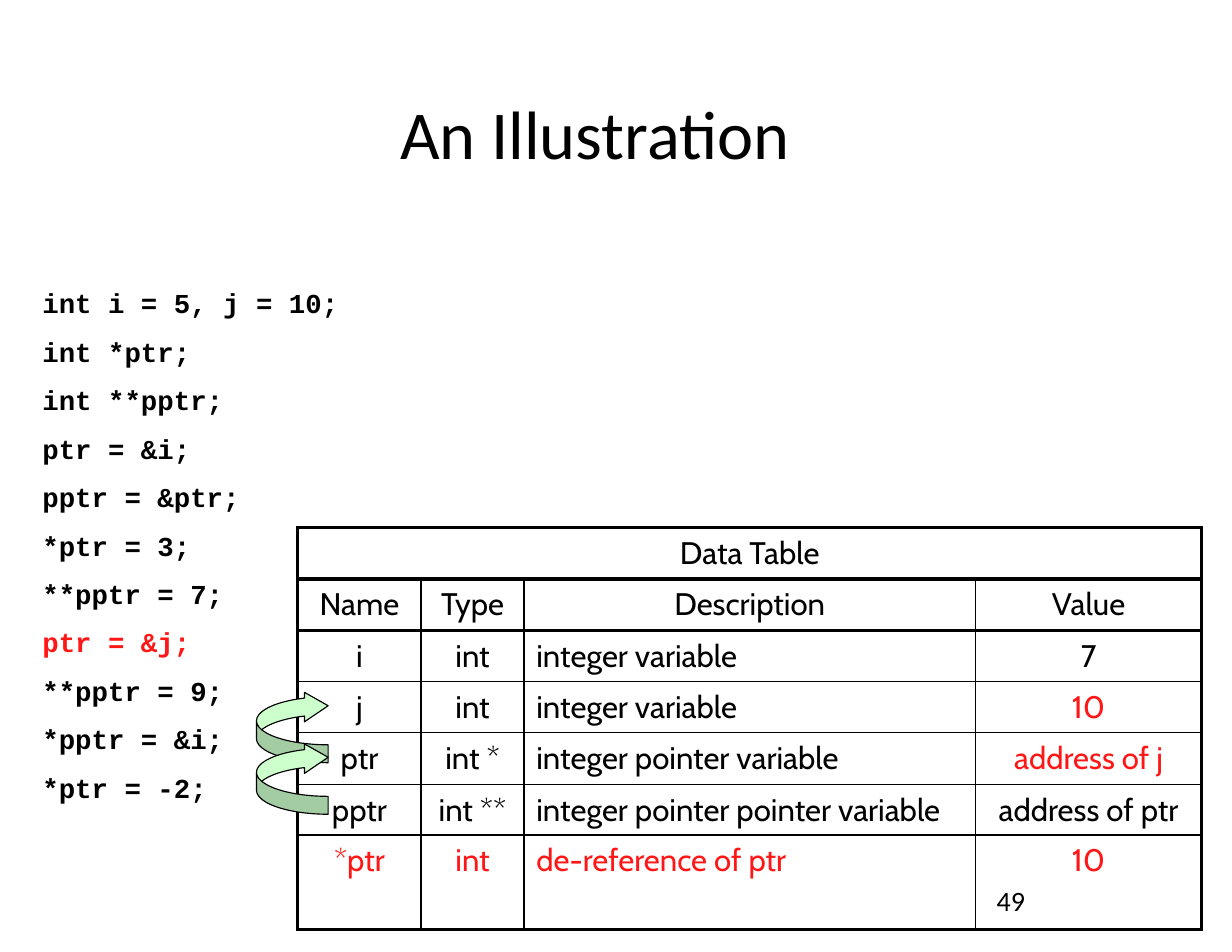
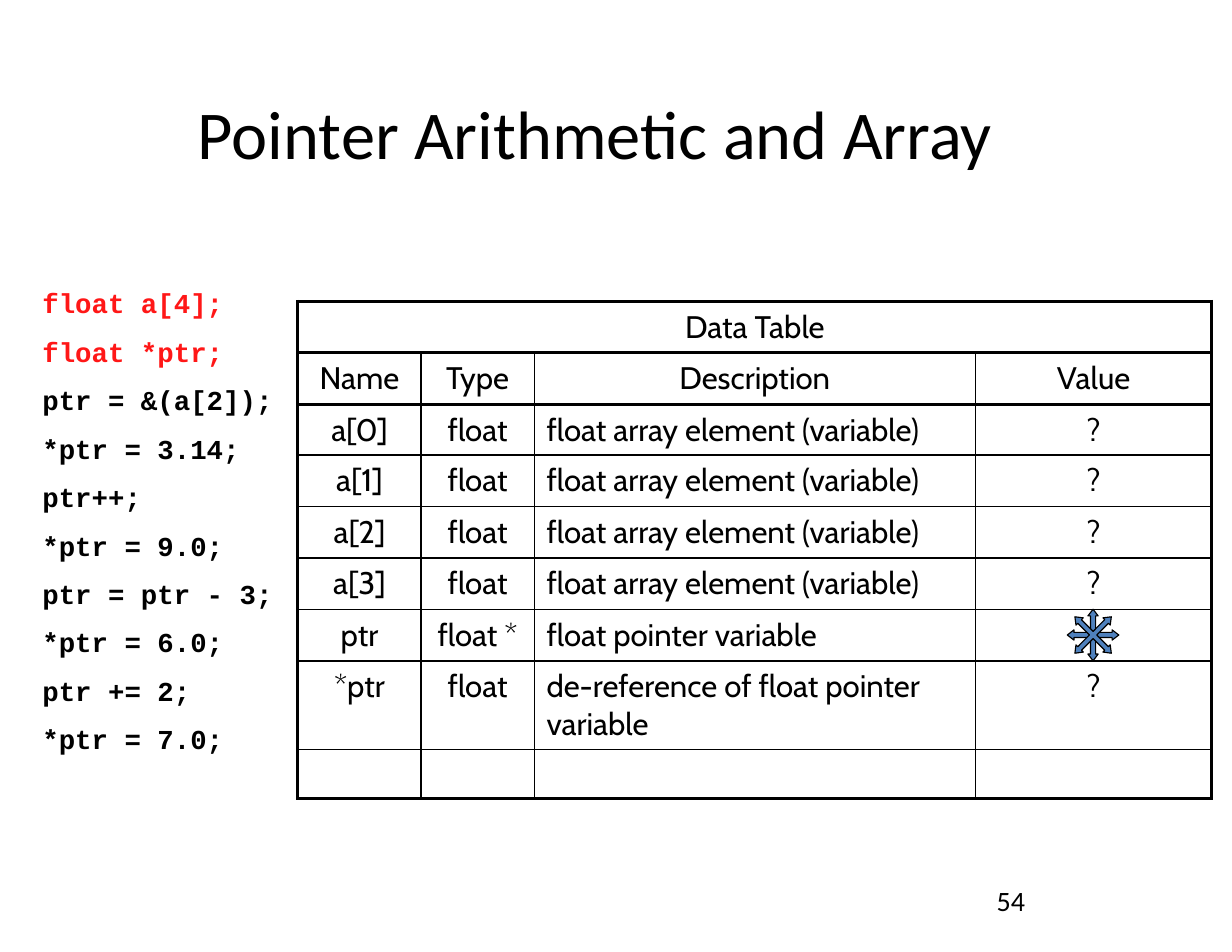
from lxml import etree
from pptx import Presentation
from pptx.dml.color import RGBColor
from pptx.enum.shapes import MSO_SHAPE
from pptx.enum.text import MSO_ANCHOR, PP_ALIGN
from pptx.oxml.ns import qn
from pptx.util import Inches, Pt

LEFT, CENTER = PP_ALIGN.LEFT, PP_ALIGN.CENTER
TOP = MSO_ANCHOR.TOP
CURVE, QUAD = MSO_SHAPE.CURVED_LEFT_ARROW, MSO_SHAPE.QUAD_ARROW
COLORS = {"ink": "000000", "red": "FF1717", "mint": "CCFFCC", "blue": "4F81BD"}
HEADS = ["Name", "Type", "Description", "Value"]
THICK, THIN = 2.25, 1

POINTER_CODE = [
    "int i = 5, j = 10;", "int *ptr;", "int **pptr;", "ptr = &i;",
    "pptr = &ptr;", "*ptr = 3;", "**pptr = 7;", "ptr = &j;",
    "**pptr = 9;", "*pptr = &i;", "*ptr = -2;",
]
POINTER_ROWS = [
    ["i", "int", "integer variable", "7"],
    ["j", "int", "integer variable", "10"],
    ["ptr", "int *", "integer pointer variable", "address of j"],
    ["pptr", "int **", "integer pointer pointer variable", "address of ptr"],
    ["*ptr", "int", "de-reference of ptr", "10"],
]
POINTER_RED = {(3, 3), (4, 3), (6, 0), (6, 1), (6, 2), (6, 3)}

ARRAY_CODE = [
    "float a[4];", "float *ptr;", "ptr = &(a[2]);", "*ptr = 3.14;", "ptr++;",
    "*ptr = 9.0;", "ptr = ptr - 3;", "*ptr = 6.0;", "ptr += 2;", "*ptr = 7.0;",
]
ARRAY_ROWS = [
    [f"a[{i}]", "float", "float array element (variable)", "?"] for i in range(4)
] + [
    ["ptr", "float *", "float pointer variable", ""],
    ["*ptr", "float", "de-reference of float pointer variable", "?"],
    [""] * 4,
]


def paint(name):
    """Return the named colour."""
    return RGBColor.from_string(COLORS[name])


def write(para, text, font, size, color="ink", bold=False, align=LEFT):
    """Add one styled run to a paragraph."""
    para.alignment = align
    run = para.add_run()
    run.text = text
    run.font.name, run.font.size, run.font.bold = font, Pt(size), bold
    run.font.color.rgb = paint(color)


def add_box(slide, x, y, w, h):
    """Add a wrapping text box and return its frame."""
    box = slide.shapes.add_textbox(Inches(x), Inches(y), Inches(w), Inches(h))
    frame = box.text_frame
    frame.word_wrap = True
    frame.vertical_anchor = TOP
    return frame


def add_base(deck, title, number):
    """Add a slide with its page number and title."""
    slide = deck.slides.add_slide(deck.slide_layouts[6])
    frame = add_box(slide, 8.8, 7.84, 2.29, 0.57)
    write(frame.paragraphs[0], number, "Calibri", 18)
    frame = add_box(slide, 0.64, 0.76, 9.35, 1.42)
    write(frame.paragraphs[0], title, "Calibri", 44, align=CENTER)
    return slide


def add_code(slide, lines, red, high):
    """Add the code listing, with the given line numbers in red."""
    frame = add_box(slide, 0.28, 2.51, 10.27, high)
    for i, line in enumerate(lines):
        para = frame.add_paragraph() if i else frame.paragraphs[0]
        if i:
            para.space_before = Pt(10)
        color = "red" if i in red else "ink"
        write(para, line, "Courier New", 17.6, color, True)


def add_edge(cell, side, width, index):
    """Draw one border of a cell."""
    line = etree.Element(qn(f"a:ln{side}"), w=str(Pt(width)))
    fill = etree.SubElement(line, qn("a:solidFill"))
    etree.SubElement(fill, qn("a:srgbClr"), val=COLORS["ink"])
    cell._tc.get_or_add_tcPr().insert(index, line)


def frame_cell(cell, row, col, last):
    """Border a cell: thick outside and around the two top rows."""
    thick = {
        "L": col == 0,
        "R": col == 3 or row == 0,
        "T": row < 3,
        "B": row < 2 or row == last,
    }
    for i, (side, heavy) in enumerate(thick.items()):
        add_edge(cell, side, THICK if heavy else THIN, i)


def add_data(slide, top, wide, tall, rows, red=()):
    """Add the data table, with the given cells in red."""
    grid = [["Data Table", "", "", ""], HEADS] + rows
    table = slide.shapes.add_table(
        len(grid), 4, Inches(2.66), Inches(top), Inches(sum(wide)), Inches(sum(tall))
    ).table
    table.first_row = table.horz_banding = False
    for col, width in zip(table.columns, wide):
        col.width = Inches(width)
    for row, height in zip(table.rows, tall):
        row.height = Inches(height)
    table.cell(0, 0).merge(table.cell(0, 3))
    for r, texts in enumerate(grid):
        for c, text in enumerate(texts):
            cell = table.cell(r, c)
            cell.fill.background()
            frame_cell(cell, r, c, len(grid) - 1)
            cell.margin_left = cell.margin_right = Inches(0.11)
            cell.margin_top = cell.margin_bottom = Inches(0.06)
            if text:
                align = LEFT if c == 2 and r > 1 else CENTER
                color = "red" if (r, c) in red else "ink"
                write(cell.text_frame.paragraphs[0], text, "Cabin", 20, color, align=align)


def add_arrow(slide, kind, x, y, size, turn, color, adjust):
    """Add a square, outlined arrow shape."""
    arrow = slide.shapes.add_shape(kind, Inches(x), Inches(y), Inches(size), Inches(size))
    arrow.shadow.inherit = False
    arrow.rotation = turn
    for i, value in enumerate(adjust):
        arrow.adjustments[i] = value
    arrow.fill.solid()
    arrow.fill.fore_color.rgb = paint(color)
    arrow.line.color.rgb = paint("ink")
    arrow.line.width = Pt(0.75)


def main():
    """Build both slides and save the deck."""
    deck = Presentation()
    deck.slide_width, deck.slide_height = Inches(11), Inches(8.5)

    slide = add_base(deck, "An Illustration", "49")
    add_code(slide, POINTER_CODE, {7}, 4.84)
    tall = [0.46, 0.46, 0.44, 0.46, 0.46, 0.44, 0.84]
    add_data(slide, 4.71, [1.1, 0.92, 4.03, 2.02], tall, POINTER_ROWS, POINTER_RED)
    for y in (6.17, 6.63):
        add_arrow(slide, CURVE, 2.29, y, 0.64, 180, "mint", (0.25, 0.41, 0.33))

    slide = add_base(deck, "Pointer Arithmetic and Array", "54")
    add_code(slide, ARRAY_CODE, {0, 1}, 4.4)
    tall = [0.46, 0.46, 0.44, 0.46, 0.46, 0.46, 0.46, 0.77, 0.44]
    add_data(slide, 2.69, [1.1, 1.01, 3.94, 2.11], tall, ARRAY_ROWS)
    for turn in (0, 45):
        add_arrow(slide, QUAD, 9.53, 5.44, 0.46, turn, "blue", (0.1, 0.1, 0.13))

    deck.save("out.pptx")


if __name__ == "__main__":
    main()
